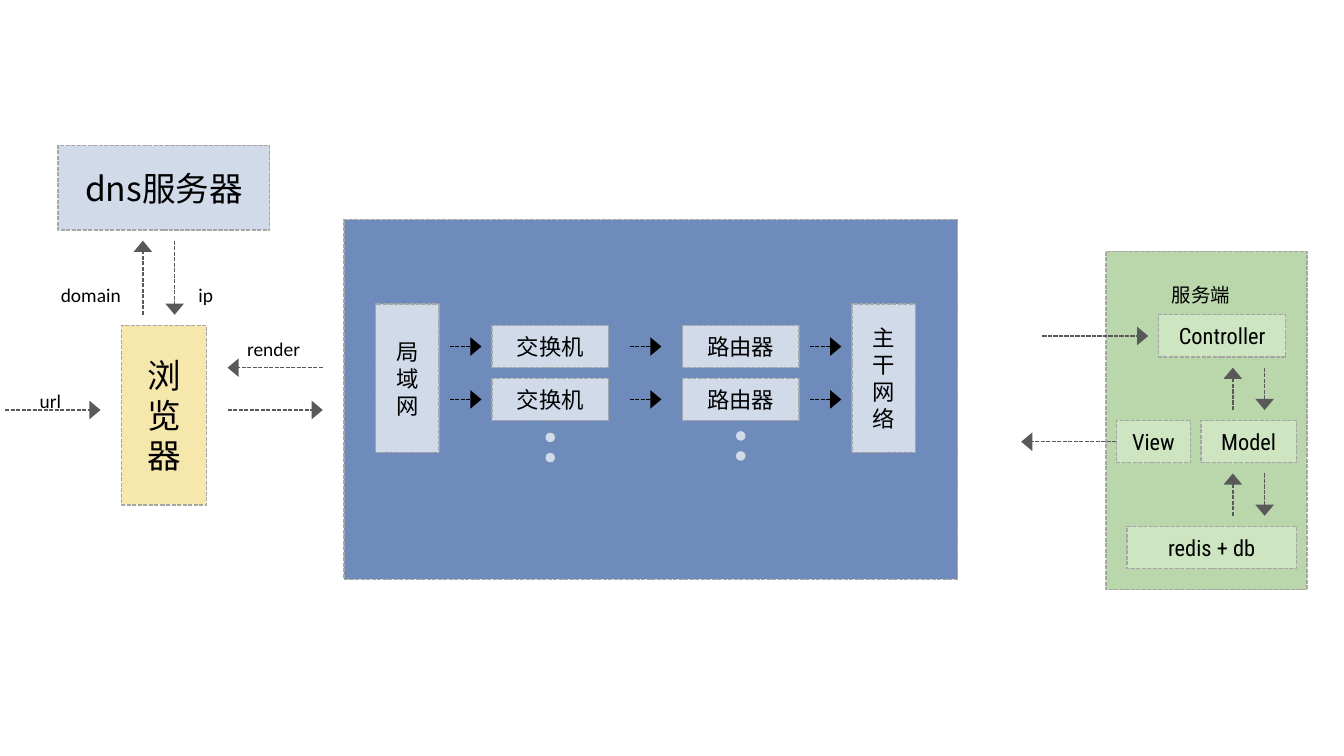
from lxml import etree
from pptx import Presentation
from pptx.dml.color import RGBColor
from pptx.enum.dml import MSO_LINE
from pptx.enum.shapes import MSO_CONNECTOR, MSO_SHAPE
from pptx.enum.text import MSO_ANCHOR, MSO_AUTO_SIZE, PP_ALIGN
from pptx.oxml.ns import qn
from pptx.util import Cm, Pt

RECT, OVAL = MSO_SHAPE.RECTANGLE, MSO_SHAPE.OVAL
STRAIGHT = MSO_CONNECTOR.STRAIGHT
DASH = MSO_LINE.SQUARE_DOT
CENTER, MIDDLE = PP_ALIGN.CENTER, MSO_ANCHOR.MIDDLE
FIT = MSO_AUTO_SIZE.SHAPE_TO_FIT_TEXT

CJK, LATIN, LABEL = "Noto Sans CJK SC", "Roboto Condensed", "Calibri"
BLACK, GREY, BORDER = "000000", "595959", "A6A6A6"
PALE_BLUE, BLUE, YELLOW = "D1DAE9", "6E8BBB", "F6E7AD"
GREEN, PALE_GREEN = "B9D7AB", "CEE5C1"


def rgb(value):
    return RGBColor.from_string(value)


def style_line(line, color):
    line.color.rgb = rgb(color)
    line.width = Pt(0.75)
    line.dash_style = DASH


def style_run(r, size, font):
    r.font.size = Pt(size)
    r.font.color.rgb = rgb(BLACK)
    r.font.name = font
    etree.SubElement(r.font._element, qn("a:ea"), typeface=font)


def add_box(s, left, top, width, height, fill, text="", size=12, font=CJK):
    sp = s.shapes.add_shape(RECT, Cm(left), Cm(top), Cm(width), Cm(height))
    sp.shadow.inherit = False
    sp.fill.solid()
    sp.fill.fore_color.rgb = rgb(fill)
    style_line(sp.line, BORDER)
    if text:
        tf = sp.text_frame
        tf.text = text
        tf.word_wrap = True
        tf.vertical_anchor = MIDDLE
        p = tf.paragraphs[0]
        p.alignment = CENTER
        style_run(p.runs[0], size, font)
    return sp


def add_dot(s, left, top):
    sp = s.shapes.add_shape(OVAL, Cm(left), Cm(top), Cm(0.18), Cm(0.18))
    sp.shadow.inherit = False
    sp.fill.solid()
    sp.fill.fore_color.rgb = rgb(PALE_BLUE)
    sp.line.fill.background()


def add_label(s, left, top, width, text, font=LABEL):
    sp = s.shapes.add_textbox(Cm(left), Cm(top), Cm(width), Cm(0.76))
    tf = sp.text_frame
    tf.text = text
    tf.word_wrap = False
    tf.auto_size = FIT
    r = tf.paragraphs[0].runs[0]
    style_run(r, 18, font)
    r.font._element.set("baseline", "30000")


def add_arrow(s, x1, y1, x2, y2, color=GREY):
    line = s.shapes.add_connector(STRAIGHT, Cm(x1), Cm(y1), Cm(x2), Cm(y2))
    style_line(line.line, color)
    ln = line.line._get_or_add_ln()
    etree.SubElement(ln, qn("a:tailEnd"), type="triangle", w="lg", len="med")
    etree.SubElement(line._element.spPr, qn("a:effectLst"))
    return line


def add_client(s, x, y):
    add_box(s, x + 1.1, y, 4, 1.6, PALE_BLUE, "dns服务器", 18)
    add_box(s, x + 2.3, y + 3.4, 1.6, 3.4, YELLOW, "浏览器", 18)
    for x1, y1, x2, y2 in ((2.7, 3.2, 2.7, 1.8), (3.3, 1.8, 3.3, 3.2),
                           (0.1, 5, 1.9, 5), (4.3, 5, 6.1, 5),
                           (6.1, 4.2, 4.3, 4.2)):
        add_arrow(s, x + x1, y + y1, x + x2, y + y2)
    for text, left, top, width in (("domain", 0.9, 2.4, 1.83),
                                   ("ip", 3.5, 2.4, 0.84),
                                   ("url", 0.5, 4.4, 1),
                                   ("render", 4.42, 3.42, 1.68)):
        add_label(s, x + left, y + top, width, text)


def add_network(s, x, y, width, height):
    add_box(s, x, y, width, height, BLUE)
    for text, left in (("局域网", 0.6), ("主干网络", 9.6)):
        add_box(s, x + left, y + 1.6, 1.2, 2.8, PALE_BLUE, text)
    for text, left, dots in (("交换机", 2.8, 4.03), ("路由器", 6.4, 4)):
        for i in range(2):
            add_box(s, x + left, y + 2 + i, 2.2, 0.8, PALE_BLUE, text)
            add_dot(s, x + left + 1.01, y + dots + 0.38 * i)
    for left in (2, 5.4, 8.8):
        for mid in (2.4, 3.4):
            add_arrow(s, x + left, y + mid, x + left + 0.6, y + mid, BLACK)


def add_server(s, x, y, width, height):
    add_box(s, x, y, width, height, GREEN)
    add_label(s, x + 1, y + 0.4, 1.8, "服务端", CJK)
    parts = {}
    for text, left, top, w in (("Controller", 1, 1.2, 2.4),
                               ("View", 0.2, 3.2, 1.4),
                               ("Model", 1.8, 3.2, 1.8),
                               ("redis + db", 0.4, 5.2, 3.2)):
        parts[text] = add_box(s, x + left, y + top, w, 0.8, PALE_GREEN,
                              text, 12, LATIN)
    for top in (2.2, 4.2):
        add_arrow(s, x + 2.4, y + top + 0.8, x + 2.4, y + top)
        add_arrow(s, x + 3, y + top, x + 3, y + top + 0.8)
    add_arrow(s, x - 1.2, y + 1.6, x + 0.8, y + 1.6)
    response = add_arrow(s, x + 0.2, y + 3.6, x - 1.6, y + 3.6)
    response.begin_connect(parts["View"], 1)


def main():
    prs = Presentation()
    prs.slide_width, prs.slide_height = Cm(25.4), Cm(14.29)
    s = prs.slides.add_slide(prs.slide_layouts[6])
    add_client(s, 0, 2.75)
    add_network(s, 6.5, 4.15, 11.6, 6.8)
    add_server(s, 20.9, 4.75, 3.8, 6.4)
    prs.save("out.pptx")


if __name__ == "__main__":
    main()
